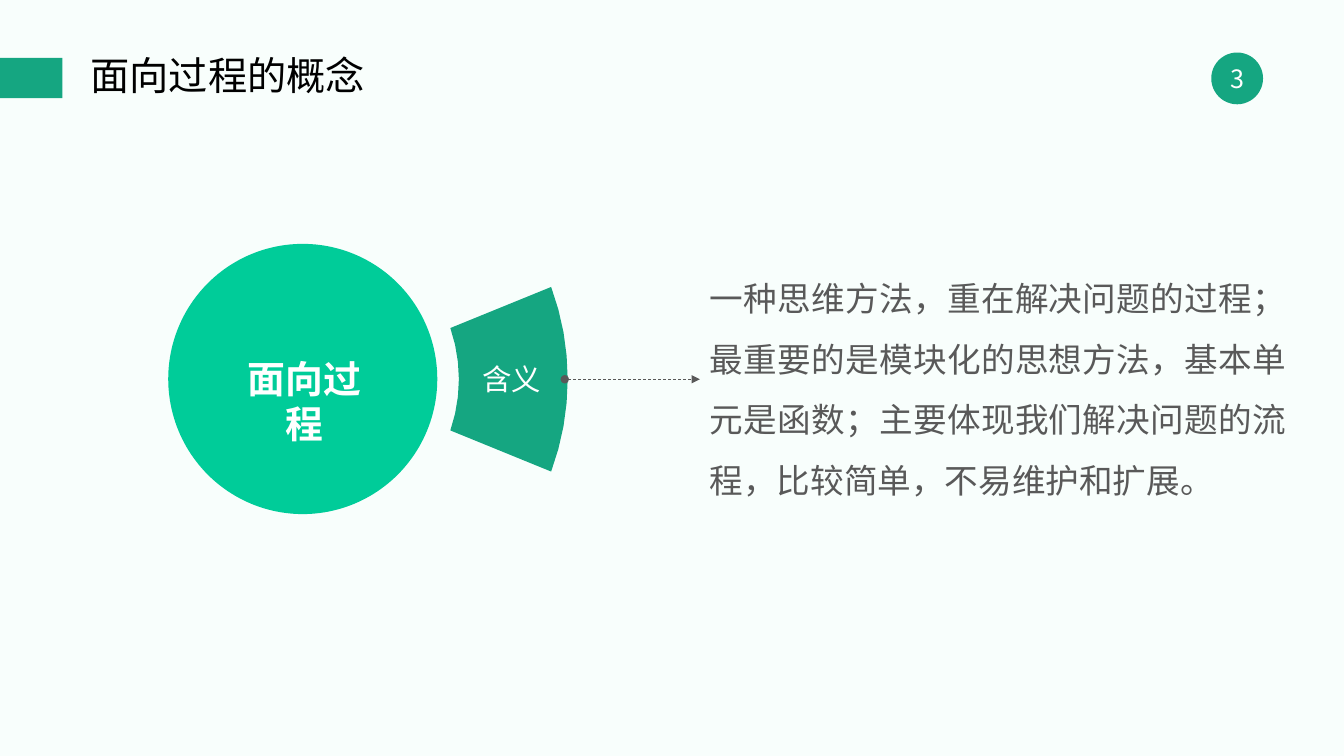
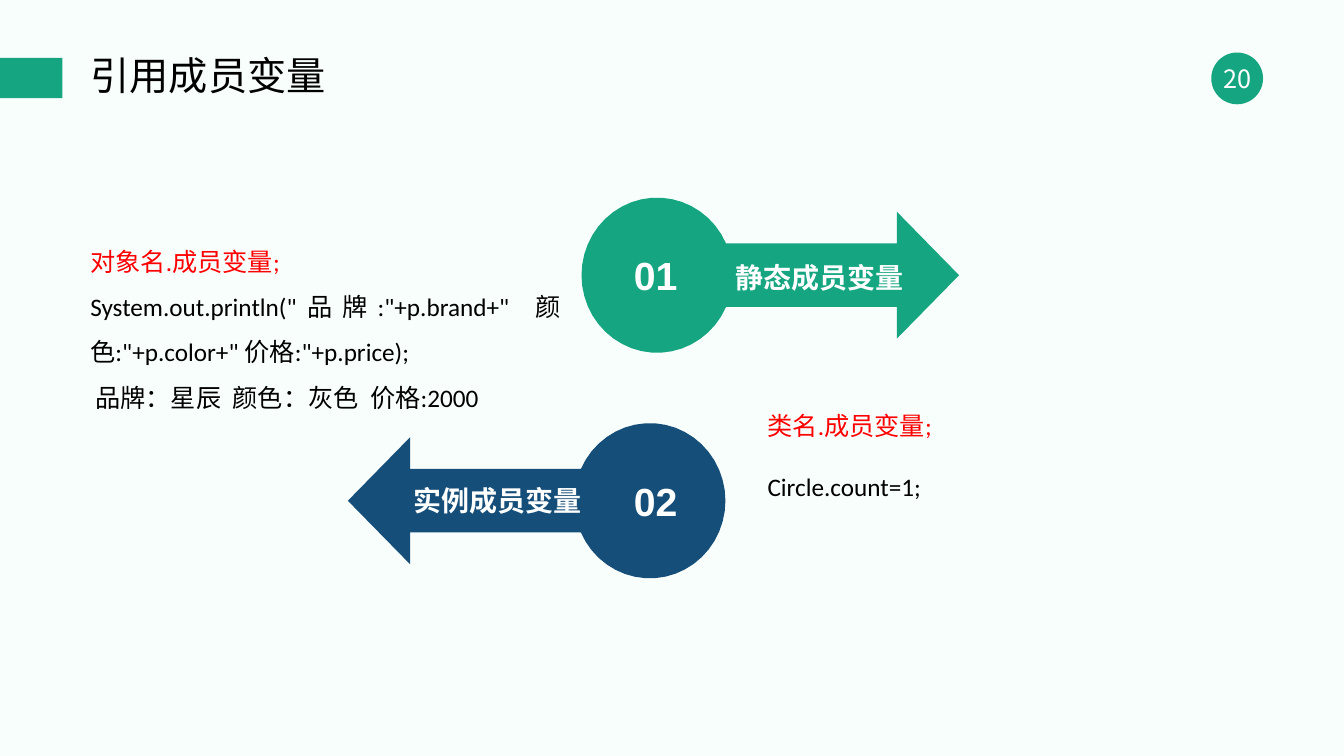
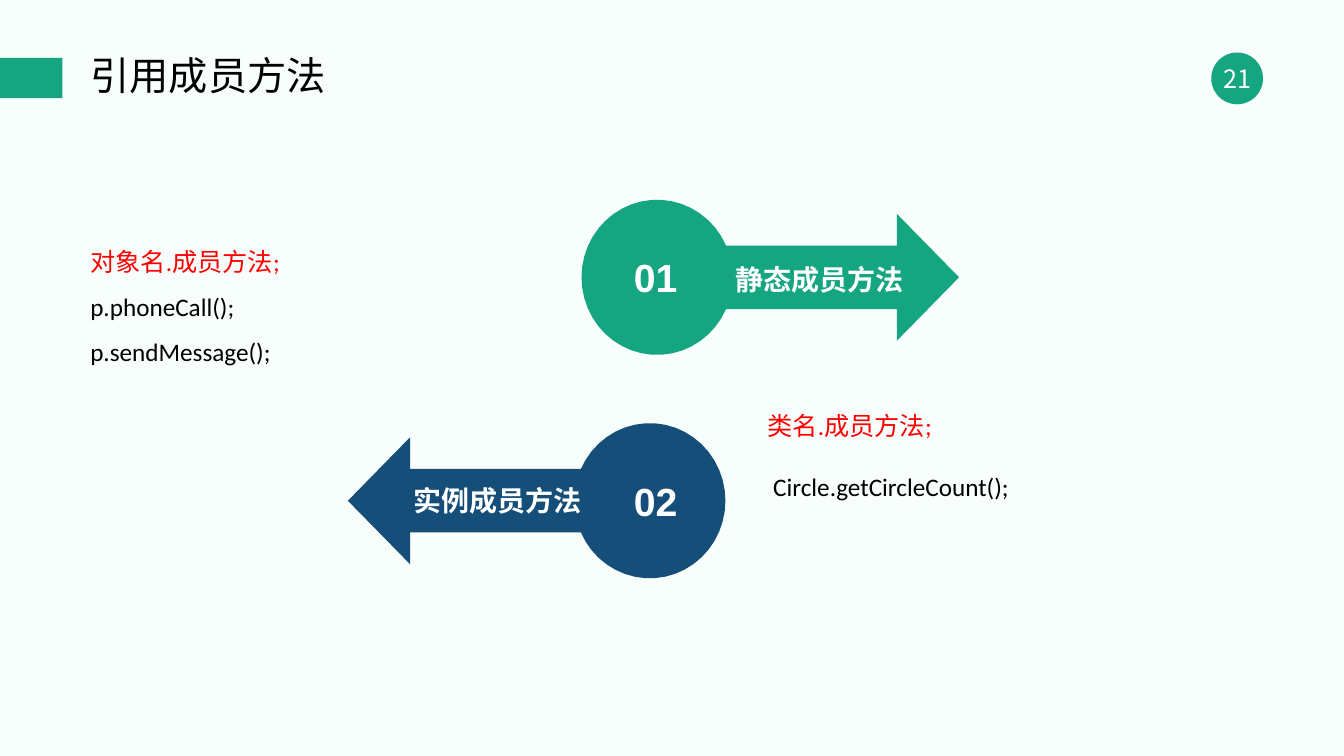
import math

from lxml import etree
from pptx import Presentation
from pptx import util as u
from pptx.dml.color import RGBColor
from pptx.enum import dml, shapes, text
from pptx.oxml.ns import qn

COLORS = {"page": "F8FEFC", "green": "15A681", "mint": "00CC99", "navy": "154E79",
          "white": "FFFFFF", "black": "000000", "gray": "595959", "red": "FF0000"}
CJK = "Noto Sans CJK SC"
LEFT, CENTER, JUSTIFY = text.PP_ALIGN.LEFT, text.PP_ALIGN.CENTER, text.PP_ALIGN.JUSTIFY


def color(name):
    return RGBColor.from_string(COLORS[name])


def arc(x, y, rx, ry, start, end, steps):
    """Points along an ellipse; angles in degrees, clockwise."""
    angles = (math.radians(start + (end - start) * i / steps) for i in range(steps + 1))
    return [(x + rx * math.cos(a), y + ry * math.sin(a)) for a in angles]


class Slides:
    """Holds the shared style and the current slide."""

    def __init__(self):
        self.deck = Presentation()
        self.deck.slide_width, self.deck.slide_height = u.Pt(960), u.Pt(540)
        fill = self.deck.slide_master.background.fill
        fill.solid()
        fill.fore_color.rgb = color("page")
        self.page = None

    def add_page(self, title, number):
        self.page = self.deck.slides.add_slide(self.deck.slide_layouts[5])
        # Title
        box = self.page.shapes.title
        box.left, box.top, box.width, box.height = map(u.Pt, (57.6, 37.4, 536.4, 36.7))
        box.text_frame.vertical_anchor = text.MSO_ANCHOR.MIDDLE
        box.text_frame.auto_size = text.MSO_AUTO_SIZE.NONE
        para = box.text_frame.paragraphs[0]
        para.alignment, para.line_spacing = LEFT, 0.9
        self.span(para, title, 28, "black")
        # Side band and page number
        self.shape(shapes.MSO_SHAPE.RECTANGLE, (0, 41.3, 44.6, 28.8), "green")
        badge = self.shape(shapes.MSO_SHAPE.OVAL, (865.2, 37.5, 37, 37), "green")
        frame = badge.text_frame
        self.insets(frame, 0, 0)
        frame.vertical_anchor = text.MSO_ANCHOR.MIDDLE
        frame.paragraphs[0].alignment = CENTER
        self.span(frame.paragraphs[0], number, 18, "white")

    def span(self, para, words, size, ink, font=CJK, bold=False):
        span = para.add_run()
        span.text = words
        span.font.size, span.font.name, span.font.bold = u.Pt(size), font, bold
        span.font.color.rgb = color(ink)
        span.font._element.find(qn("a:latin")).addnext(
            etree.Element(qn("a:ea"), typeface=CJK))

    def insets(self, frame, x, y):
        frame.margin_left = frame.margin_right = u.Pt(x)
        frame.margin_top = frame.margin_bottom = u.Pt(y)

    def paint(self, shape, fill):
        shape.shadow.inherit = False
        shape.fill.solid()
        shape.fill.fore_color.rgb = color(fill)
        shape.line.fill.background()
        return shape

    def shape(self, kind, at, fill):
        return self.paint(self.page.shapes.add_shape(kind, *map(u.Pt, at)), fill)

    def outline(self, points, fill):
        first, *rest = [(u.Pt(x), u.Pt(y)) for x, y in points]
        builder = self.page.shapes.build_freeform(*first, scale=1.0)
        builder.add_line_segments(rest, close=True)
        return self.paint(builder.convert_to_shape(), fill)

    def text(self, at, lines, size, font=CJK, bold=False, align=LEFT, spacing=1.0,
             gap=0, inset=(7.2, 3.6), wrap=True, tabs=(), fill=None):
        """Each line is a pair of words and colour; tabs serve lines that use them."""
        if fill:
            box = self.shape(shapes.MSO_SHAPE.RECTANGLE, at, fill)
        else:
            box = self.page.shapes.add_textbox(*map(u.Pt, at))
        frame = box.text_frame
        frame.word_wrap = wrap
        frame.vertical_anchor = text.MSO_ANCHOR.TOP
        self.insets(frame, *inset)
        for i, (words, ink) in enumerate(lines):
            para = frame.add_paragraph() if i else frame.paragraphs[0]
            if "\t" in words:
                stops = etree.SubElement(para._p.get_or_add_pPr(), qn("a:tabLst"))
                for stop in tabs:
                    etree.SubElement(stops, qn("a:tab"), pos=str(u.Pt(stop)), algn="l")
            para.alignment, para.line_spacing = align, spacing
            if i and gap:
                para.space_before = u.Pt(gap)
            self.span(para, words, size, ink, font, bold)

    def dashed_arrow(self, x1, x2, y):
        line = self.page.shapes.add_connector(
            shapes.MSO_CONNECTOR.STRAIGHT, *map(u.Pt, (x1, y, x2, y)))
        line.line.color.rgb = color("gray")
        line.line.width = u.Pt(0.5)
        line.line.dash_style = dml.MSO_LINE.DASH
        for end, kind in (("a:headEnd", "oval"), ("a:tailEnd", "triangle")):
            etree.SubElement(line.line._get_or_add_ln(), qn(end), type=kind)
        etree.SubElement(line._element.spPr, qn("a:effectLst"))

    def sector(self, x, y, fill):
        self.outline(arc(x, y, 190, 190, -20.3, 20.3, 8)
                     + arc(x, y, 112.3, 112.3, 19, -19, 6), fill)

    def numbered_arrow(self, x, y, side, fill, number, label, label_at):
        """A disc with an arrow to the right (side 1) or to the left (side -1)."""
        rx, ry, shaft, head, neck, tip = 54, 55.4, 22.7, 45.4, 171.2, 215.7
        meet = math.degrees(math.asin(shaft / ry))
        points = arc(0, 0, rx, ry, meet, 360 - meet, 40)
        points += [(neck, -shaft), (neck, -head), (tip, 0), (neck, head), (neck, shaft)]
        self.outline([(x + side * dx, y + dy) for dx, dy in points], fill)
        left, rise = label_at
        for words, at, size in ((label, (left, y - rise, 134.6, 31.7), 20),
                                (number, (445.7, y - 20.6, 46, 41), 28)):
            self.text(at, [(words, "white")], size, "Arial", bold=True,
                      align=JUSTIFY, wrap=False, fill=fill)

    def reference_page(self, title, number, member, top_y, object_lines, class_line):
        self.add_page(title, number)
        self.text((541.2, 289.4, 342.7, 72),
                  [(f"类名.{member};", "red"), (class_line, "black")],
                  18, "Calibri", gap=22)
        lines = [(f"对象名.{member};", "red")] + [(line, "black") for line in object_lines]
        self.text((57.4, 161.3, 350, 33 * len(lines)), lines, 18, "Calibri",
                  align=JUSTIFY, spacing=1.5, tabs=(3.6, 101.8, 200))
        self.numbered_arrow(469.4, top_y, 1, "green", "01", f"静态{member}", (518.4, 14.4))
        self.numbered_arrow(464.2, 357.7, -1, "navy", "02", f"实例{member}", (288, 15.8))


def main():
    slides = Slides()

    # Concept
    slides.add_page("面向过程的概念", "3")
    slides.text((506.9, 184.3, 411.8, 172.8), [(
        "一种思维方法，重在解决问题的过程；最重要的是模块化的思想方法，"
        "基本单元是函数；主要体现我们解决问题的流程，比较简单，不易维护和扩展。", "gray")],
        24, align=JUSTIFY, spacing=1.5, inset=(0, 0))
    slides.sector(215.5, 270.9, "green")
    slides.shape(shapes.MSO_SHAPE.OVAL, (120.2, 174.2, 192.2, 193), "mint")
    slides.dashed_arrow(403.4, 499.9, 270.9)
    slides.text((157.6, 249.1, 120, 74), [("面向过程", "white")], 27, bold=True,
                align=CENTER, inset=(9.4, 5))
    slides.text((335, 257.8, 61.2, 25.2), [("含义", "white")], 21, align=CENTER,
                inset=(0, 0))

    # Member references
    slides.reference_page(
        "引用成员变量", "20", "成员变量", 196.6,
        ['System.out.println("品牌:"+p.brand+" 颜色:"+p.color+" 价格:"+p.price);',
         "\t品牌：星辰\t颜色：灰色\t价格:2000"],
        "Circle.count=1;")
    slides.reference_page(
        "引用成员方法", "21", "成员方法", 198.1,
        ["p.phoneCall();", "p.sendMessage();"],
        " Circle.getCircleCount();")

    slides.deck.save("out.pptx")


if __name__ == "__main__":
    main()
